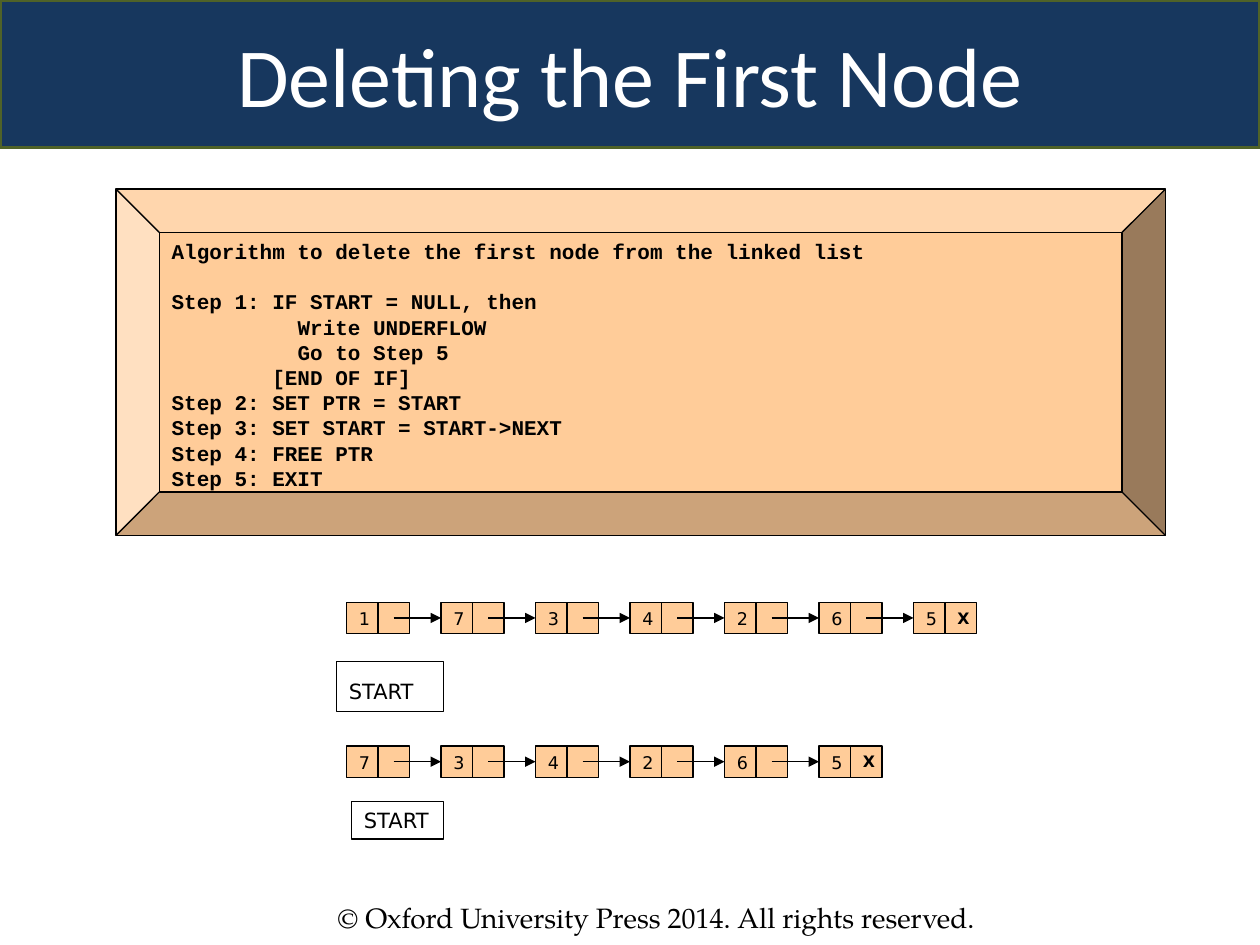
from lxml.etree import SubElement
from pptx import Presentation
from pptx.dml.color import RGBColor
from pptx.enum.shapes import MSO_CONNECTOR, MSO_SHAPE
from pptx.enum.text import MSO_ANCHOR, PP_ALIGN
from pptx.oxml.ns import qn
from pptx.util import Inches, Pt

COLORS = {"navy": "17375E", "olive": "4F6228", "peach": "FFCC99",
          "black": "000000", "white": "FFFFFF"}


def write(shape, text, size=10, font="DejaVu Sans", color="black", bold=False,
          align=PP_ALIGN.LEFT, anchor=MSO_ANCHOR.TOP, wrap=True):
    tf = shape.text_frame
    tf.word_wrap = wrap
    tf.vertical_anchor = anchor
    for i, line in enumerate(text.split("\n")):
        p = tf.paragraphs[0] if i == 0 else tf.add_paragraph()
        p.alignment = align
        r = p.add_run()
        r.text = line
        r.font.size, r.font.name, r.font.bold = Pt(size), font, bold
        r.font.color.rgb = RGBColor.from_string(COLORS[color])
    return tf


def box(kind, x, y, w, h, fill="peach"):
    sp = s.shapes.add_shape(kind, Inches(x), Inches(y), Inches(w), Inches(h))
    sp.shadow.inherit = False
    if fill:
        sp.fill.solid()
        sp.fill.fore_color.rgb = RGBColor.from_string(COLORS[fill])
    else:
        sp.fill.background()
    sp.line.color.rgb = RGBColor.from_string(COLORS["black"])
    sp.line.width = Pt(0.75)
    return sp


prs = Presentation()
prs.slide_width, prs.slide_height = Inches(10), Inches(7.5)
s = prs.slides.add_slide(prs.slide_layouts[5])

title = s.shapes.title
title.left, title.top = 0, 0
title.width, title.height = prs.slide_width, Inches(1.17)
title.fill.solid()
title.fill.fore_color.rgb = RGBColor.from_string(COLORS["navy"])
title.line.color.rgb = RGBColor.from_string(COLORS["olive"])
title.line.width = Pt(2)
write(title, "Deleting the First Node", size=48, font="Calibri", color="white",
      align=PP_ALIGN.CENTER, anchor=MSO_ANCHOR.MIDDLE)

algorithm = """Algorithm to delete the first node from the linked list
Step 1: IF START = NULL, then
\t\tWrite UNDERFLOW
\t\tGo to Step 5
        [END OF IF]
Step 2: SET PTR = START
Step 3: SET START = START->NEXT
Step 4: FREE PTR
Step 5: EXIT"""
panel = box(MSO_SHAPE.BEVEL, 0.92, 1.5, 8.33, 2.75)
tf = write(panel, algorithm, size=12, font="Courier New", bold=True)
for p in tf.paragraphs:
    p.line_spacing = Pt(14.4)
tf.paragraphs[1].space_before = Pt(14.4)

CELL, LEFT = 0.25, 2.75
for top, values in ((4.78, "1734265"), (5.92, "734265")):
    for i, value in enumerate(values):
        x = LEFT + i * 3 * CELL
        write(box(MSO_SHAPE.RECTANGLE, x, top, CELL, CELL), value)
        link = box(MSO_SHAPE.RECTANGLE, x + CELL, top, CELL, CELL)
        if i == len(values) - 1:
            write(link, "X", size=9, bold=True)
            continue
        y = Inches(top + CELL / 2)
        arrow = s.shapes.add_connector(MSO_CONNECTOR.STRAIGHT, Inches(x + 1.5 * CELL), y,
                                       Inches(x + 3 * CELL), y)
        arrow.line.color.rgb = RGBColor.from_string(COLORS["black"])
        arrow.line.width = Pt(0.75)
        SubElement(arrow.line._get_or_add_ln(), qn("a:tailEnd"), type="triangle")
        SubElement(arrow._element.spPr, qn("a:effectLst"))

first_start = box(MSO_SHAPE.RECTANGLE, 2.67, 5.25, 0.85, 0.4, fill=None)
tf = write(first_start, "START", size=12, anchor=MSO_ANCHOR.MIDDLE)
r = tf.paragraphs[0].add_run()
r.text = " "
r.font.size, r.font.name = Pt(18), "DejaVu Sans"

second_start = box(MSO_SHAPE.RECTANGLE, 2.79, 6.36, 0.73, 0.3, fill=None)
write(second_start, "START", size=12, anchor=MSO_ANCHOR.MIDDLE, wrap=False)

footer = s.shapes.add_textbox(Inches(2.58), Inches(7.1), Inches(5.92), Inches(0.37))
write(footer, "© Oxford University Press 2014. All rights reserved.", size=16,
      font="TeX Gyre Pagella")

prs.save("out.pptx")
